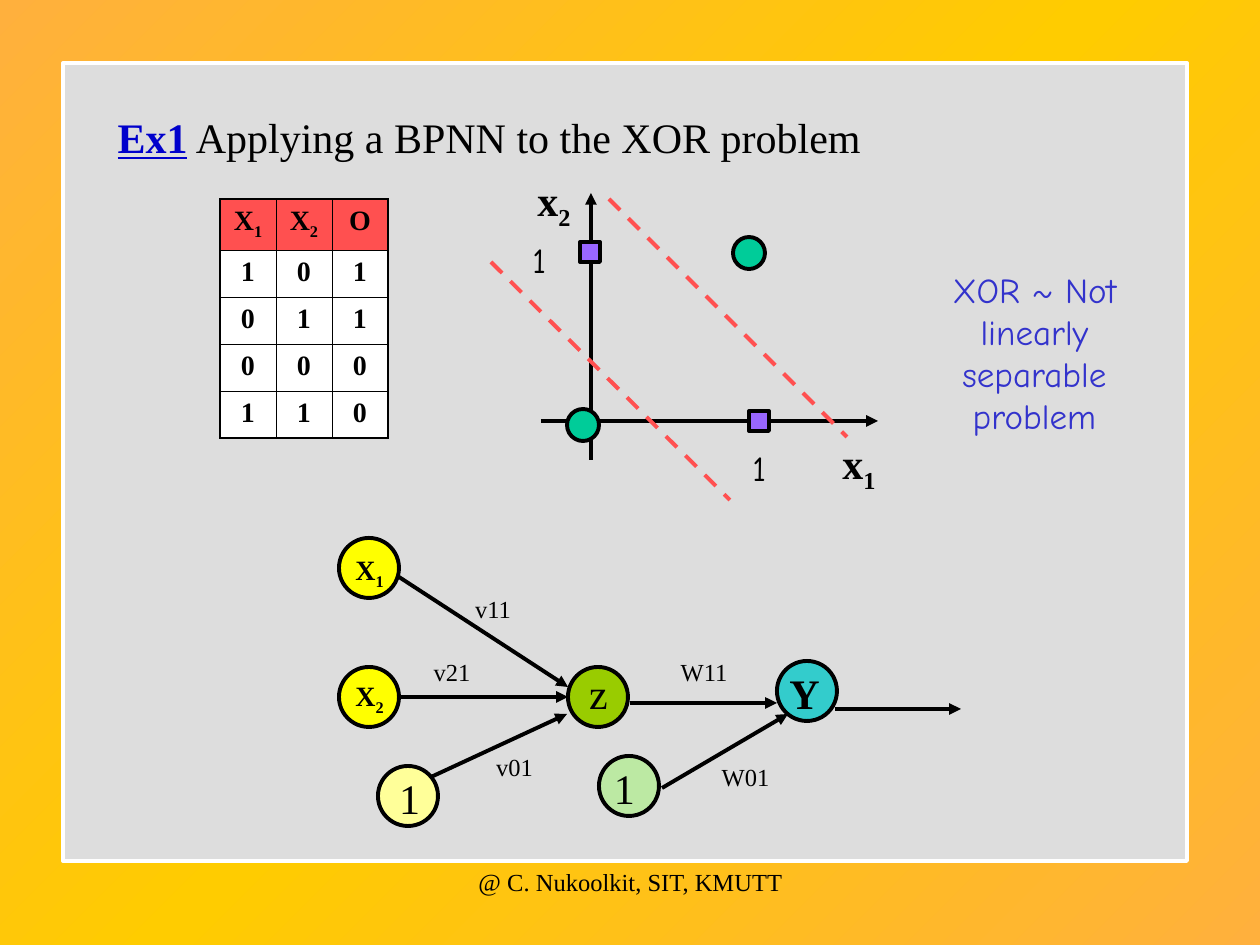
from typing import NamedTuple

from lxml import etree
from pptx import Presentation
from pptx.dml.color import RGBColor
from pptx.enum.dml import MSO_LINE_DASH_STYLE as Dash
from pptx.enum.shapes import MSO_CONNECTOR as Link, MSO_SHAPE as Preset
from pptx.enum.text import MSO_ANCHOR as Anchor, MSO_AUTO_SIZE as AutoSize, PP_ALIGN as Align
from pptx.oxml import parse_xml
from pptx.oxml.ns import nsdecls, qn
from pptx.util import Emu, Pt

EMU_PER_PX = 914400 / 126
SERIF, COMIC = "Times New Roman", "Comic Neue"
COLORS = {
    "black": "000000", "white": "FFFFFF", "panel": "DDDDDD", "orange": "FFB03D",
    "gold": "FFCC00", "blue": "0000CC", "indigo": "3333CC", "red": "FF5050",
    "violet": "9966FF", "green": "00CC99", "yellow": "FFFF00", "lime": "99CC00",
    "teal": "33CCCC", "cream": "FFFF99", "mint": "BCE9A3",
}


class Marker(NamedTuple):
    preset: Preset
    left: int
    top: int
    size: int
    color: str


class Segment(NamedTuple):
    x1: int
    y1: int
    x2: int
    y2: int


class Label(NamedTuple):
    text: str
    left: int
    top: int
    width: int
    height: int
    size: int
    bold: bool = False
    color: str = "black"
    font: str = SERIF
    align: Align = Align.CENTER


TRUTH_TABLE = ["X_1 X_2 O", "1 0 1", "0 1 1", "0 0 0", "1 1 0"]
AXES = [Segment(591, 460, 591, 193), Segment(541, 421, 878, 421)]
BOUNDARIES = [Segment(491, 262, 730, 500), Segment(609, 199, 847, 437)]
POINTS = [
    Marker(Preset.RECTANGLE, 580, 242, 20, "violet"),
    Marker(Preset.RECTANGLE, 749, 411, 20, "violet"),
    Marker(Preset.OVAL, 733, 237, 32, "green"),
    Marker(Preset.OVAL, 567, 409, 32, "green"),
]
PLOT_LABELS = [
    Label("x_1", 809, 431, 100, 71, 24, bold=True),
    Label("x_2", 504, 168, 100, 71, 24, bold=True),
    Label("1", 740, 440, 59, 55, 20, font=COMIC, align=Align.LEFT),
    Label("1", 520, 232, 59, 55, 20, font=COMIC, align=Align.LEFT),
    Label("XOR ~ Not linearly separable problem", 924, 262, 221, 181, 20,
          color="indigo", font=COMIC),
]
NEURONS = [
    Marker(Preset.OVAL, left, top, 60, color)
    for left, top, color in [
        (339, 538, "yellow"), (339, 667, "yellow"), (568, 667, "lime"),
        (777, 661, "teal"), (378, 766, "cream"), (599, 756, "mint"),
    ]
]
SYNAPSES = [
    Segment(399, 577, 568, 687), Segment(399, 697, 568, 697),
    Segment(431, 777, 567, 714), Segment(630, 703, 777, 703),
    Segment(662, 788, 788, 714), Segment(835, 709, 961, 709),
]
NETWORK_LABELS = [
    Label("X_1", 325, 546, 89, 52, 16, bold=True),
    Label("X_2", 325, 672, 89, 52, 16, bold=True),
    Label("z", 567, 661, 63, 63, 24),
    Label("Y", 777, 661, 55, 63, 24, bold=True),
    Label("1", 357, 766, 105, 63, 24),
    Label("1", 588, 756, 73, 63, 24),
    Label("v11", 451, 588, 84, 43, 14),
    Label("v21", 410, 651, 84, 43, 14),
    Label("v01", 462, 746, 105, 43, 14),
    Label("W11", 662, 651, 84, 43, 14),
    Label("W01", 693, 756, 105, 43, 14),
]
FOOTER = Label("@ C. Nukoolkit, SIT, KMUTT", 431, 861, 399, 63, 14)


def px(length: int) -> Emu:
    return Emu(round(length * EMU_PER_PX))


def rgb(color: str) -> RGBColor:
    return RGBColor.from_string(COLORS[color])


def write(frame, text: str, *, size: int, font: str = SERIF, color: str = "black",
          bold: bool = False, underline: bool = False, align: Align = Align.CENTER) -> None:
    """Append text to the first paragraph; what follows an underscore is subscript."""
    paragraph = frame.paragraphs[0]
    paragraph.alignment = align
    for level, part in enumerate(text.split("_")):
        run = paragraph.add_run()
        run.text = part
        run.font.name, run.font.size = font, Pt(size)
        run.font.bold, run.font.underline = bold, underline
        run.font.color.rgb = rgb(color)
        if level:
            run.font._element.set("baseline", "-25000")


def draw_label(slide, label: Label) -> None:
    box = slide.shapes.add_textbox(*map(px, label[1:5]))
    box.text_frame.word_wrap = True
    write(box.text_frame, label.text, size=label.size, font=label.font,
          color=label.color, bold=label.bold, align=label.align)


def draw_shape(slide, preset: Preset, left: int, top: int, width: int, height: int,
               color: str, outline: str = "black") -> None:
    shape = slide.shapes.add_shape(preset, px(left), px(top), px(width), px(height))
    shape.shadow.inherit = False
    shape.fill.solid()
    shape.fill.fore_color.rgb = rgb(color)
    shape.line.color.rgb = rgb(outline)
    shape.line.width = Pt(2.25)


def draw_marker(slide, marker: Marker) -> None:
    draw_shape(slide, marker.preset, marker.left, marker.top, marker.size, marker.size,
               marker.color)


def draw_segment(slide, segment: Segment, color: str = "black", dashed: bool = False) -> None:
    """Draw an arrow, or a plain dashed line."""
    line = slide.shapes.add_connector(Link.STRAIGHT, *map(px, segment))
    line.line.color.rgb = rgb(color)
    line.line.width = Pt(2.25)
    if dashed:
        line.line.dash_style = Dash.DASH
    else:
        etree.SubElement(line.line._get_or_add_ln(), qn("a:tailEnd"), type="triangle")
    etree.SubElement(line._element.spPr, qn("a:effectLst"))


def set_borders(cell, widths: dict[str, float]) -> None:
    properties = cell._tc.get_or_add_tcPr()
    for position, (side, width) in enumerate(widths.items()):
        properties.insert(position, parse_xml(
            f'<a:ln{side} {nsdecls("a")} w="{Pt(width)}"><a:solidFill>'
            f'<a:srgbClr val="{COLORS["black"]}"/></a:solidFill></a:ln{side}>'))


def draw_truth_table(slide) -> None:
    rows = [line.split() for line in TRUTH_TABLE]
    last_row, last_col = len(rows) - 1, len(rows[0]) - 1
    table = slide.shapes.add_table(last_row + 1, last_col + 1, px(220), px(199),
                                   px(168), px(239)).table
    table.first_row = table.horz_banding = False
    for column in table.columns:
        column.width = px(56)
    for r, row in enumerate(rows):
        table.rows[r].height = px(47 if r else 51)
        for c, text in enumerate(row):
            cell = table.cell(r, c)
            write(cell.text_frame, text, size=16, bold=True)
            cell.fill.solid()
            cell.fill.fore_color.rgb = rgb("white" if r else "red")
            outer = {"L": c == 0, "R": c == last_col, "T": r == 0, "B": r == last_row}
            set_borders(cell, {side: 1.08 if edge else 0.45 for side, edge in outer.items()})


def paint_background(slide) -> None:
    fill = slide.background.fill
    fill.gradient()
    gradient = slide.background._cSld.bg.bgPr.find(qn("a:gradFill"))
    stops = "".join(f'<a:gs pos="{position}"><a:srgbClr val="{COLORS[color]}"/></a:gs>'
                    for position, color in [(0, "orange"), (50000, "gold"), (100000, "orange")])
    gradient.getparent().replace(gradient, parse_xml(
        f'<a:gradFill {nsdecls("a")} rotWithShape="1"><a:gsLst>{stops}</a:gsLst>'
        '<a:lin ang="13500000" scaled="0"/></a:gradFill>'))


def place_title(slide) -> None:
    title = slide.shapes.title
    title.left, title.top, title.width, title.height = map(px, (105, 105, 1040, 63))
    slide.shapes._spTree.append(title._element)  # in front of the panel
    frame = title.text_frame
    frame.word_wrap, frame.auto_size = True, AutoSize.NONE
    frame.vertical_anchor = Anchor.TOP
    write(frame, "Ex1", size=24, color="blue", bold=True, underline=True, align=Align.LEFT)
    write(frame, " Applying a BPNN to the XOR problem", size=24, align=Align.LEFT)


def main() -> None:
    deck = Presentation()
    deck.slide_width, deck.slide_height = px(1260), px(945)
    slide = deck.slides.add_slide(deck.slide_layouts[5])
    paint_background(slide)
    draw_shape(slide, Preset.RECTANGLE, 63, 63, 1124, 798, "panel", outline="white")
    place_title(slide)
    draw_truth_table(slide)
    for axis in AXES:
        draw_segment(slide, axis)
    for marker in POINTS + NEURONS:
        draw_marker(slide, marker)
    for boundary in BOUNDARIES:
        draw_segment(slide, boundary, color="red", dashed=True)
    for synapse in SYNAPSES:
        draw_segment(slide, synapse)
    for label in [*PLOT_LABELS, *NETWORK_LABELS, FOOTER]:
        draw_label(slide, label)
    deck.save("out.pptx")


if __name__ == "__main__":
    main()
